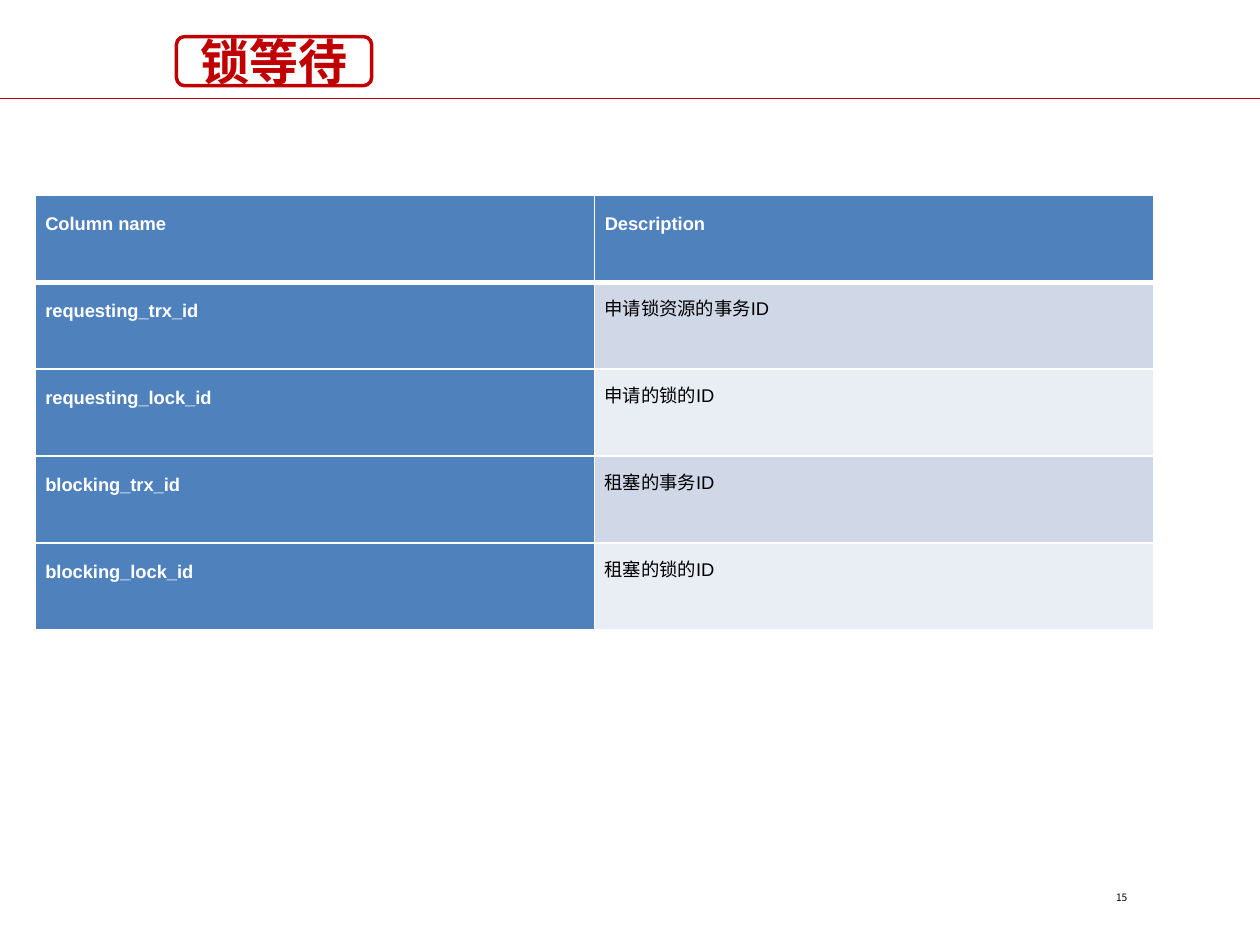
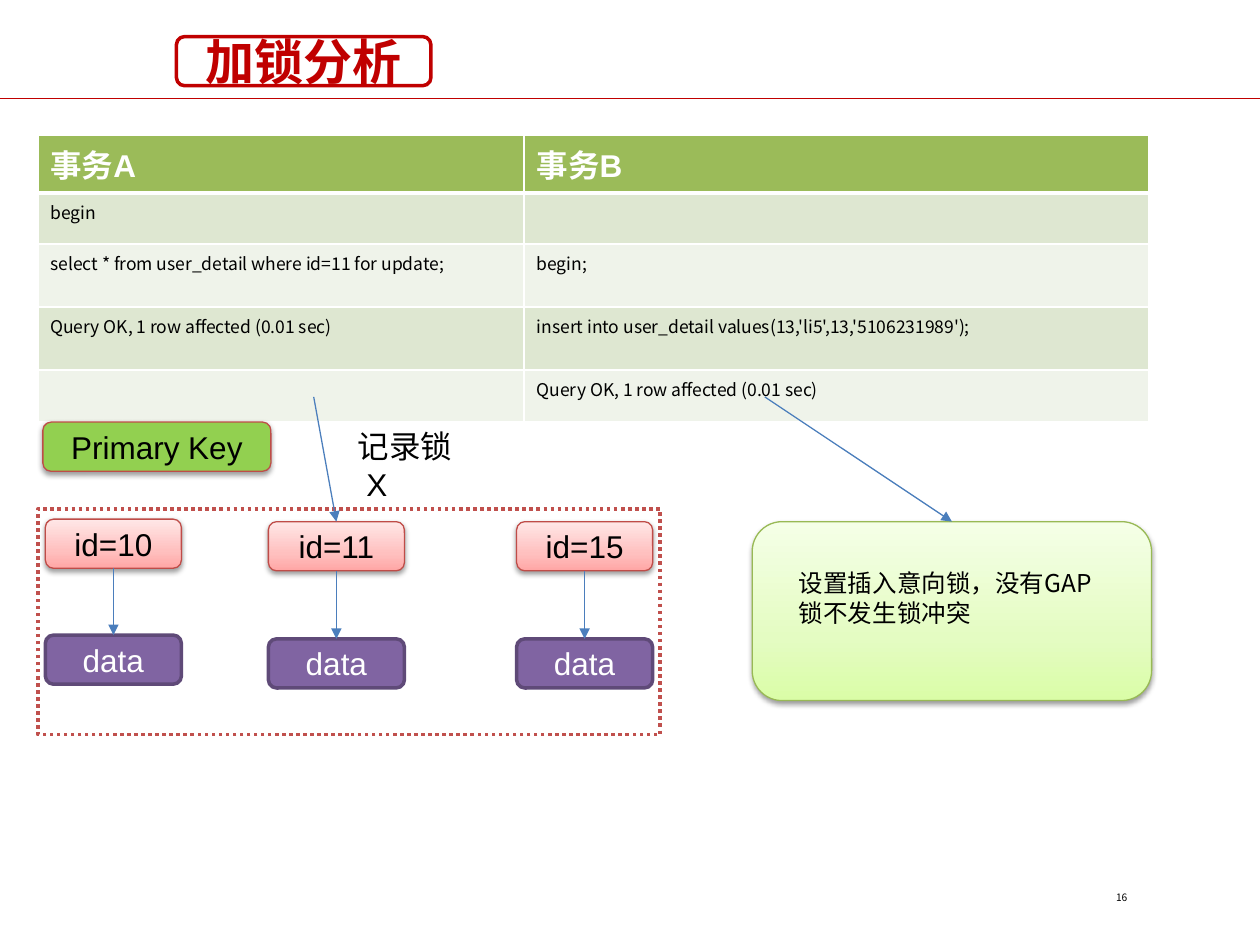
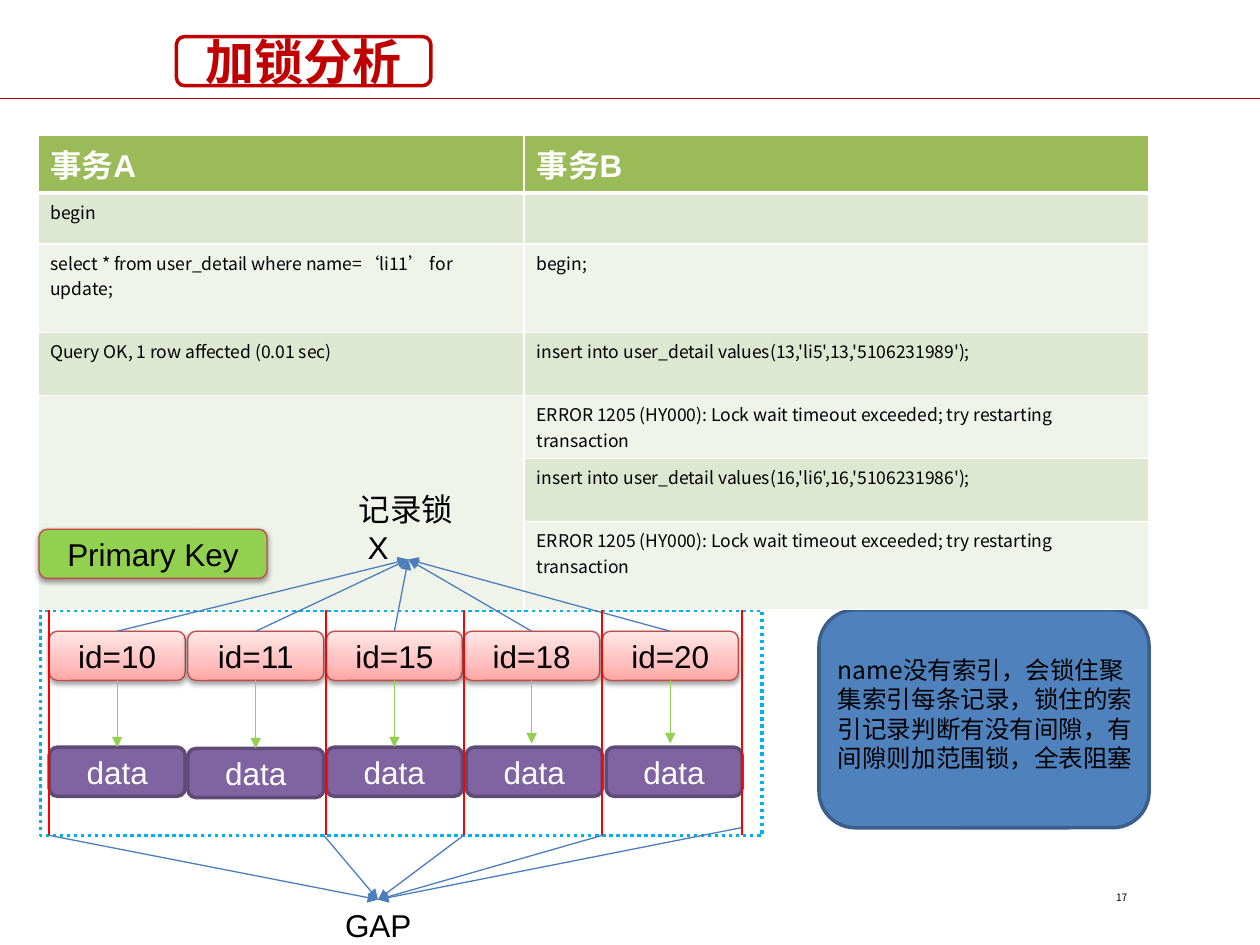
from pptx import Presentation
from pptx.dml.color import RGBColor
from pptx.enum.dml import MSO_LINE
from pptx.enum.shapes import MSO_CONNECTOR, MSO_SHAPE
from pptx.enum.text import MSO_ANCHOR, PP_ALIGN
from pptx.oxml import parse_xml
from pptx.oxml.ns import nsdecls, qn
from pptx.util import Inches, Pt

STRAIGHT = MSO_CONNECTOR.STRAIGHT
ROUND = MSO_SHAPE.ROUNDED_RECTANGLE
RECT = MSO_SHAPE.RECTANGLE
TITLE_BOX = MSO_SHAPE.FLOWCHART_ALTERNATE_PROCESS
DOTTED = MSO_LINE.ROUND_DOT
TOP, MIDDLE = MSO_ANCHOR.TOP, MSO_ANCHOR.MIDDLE
LEFT, CENTER = PP_ALIGN.LEFT, PP_ALIGN.CENTER
NOTO = "Noto Sans CJK SC"
A = nsdecls("a")
rgb = RGBColor.from_string

FORMATS = {
    "title": ({"size": Pt(28), "name": NOTO, "bold": True}, "C00000"),
    "number": ({"size": Pt(5.8), "name": NOTO}, "000000"),
    "label": ({"size": Pt(18), "name": "Arial"}, "000000"),
    "light": ({"size": Pt(18), "name": "Arial"}, "FFFFFF"),
    "note": ({"size": Pt(14), "name": NOTO}, "000000"),
    "head": ({"size": Pt(18), "name": "Arial", "bold": True}, "FFFFFF"),
    "sql": ({"size": Pt(10), "name": NOTO, "bold": False}, "000000"),
    "field": ({"size": Pt(10.5), "name": "Arial", "bold": True}, "FFFFFF"),
    "meaning": ({"size": Pt(10.5), "name": "Arial", "bold": False}, "000000"),
}
PINK = ("FFA6A5", "FFC0BF", "FFE7E7")
LIME = ("DAFDA7", "E4FCC2", "F5FFE7")
BOXES = {
    "title": dict(kind=TITLE_BOX, fill="FFFFFF", line="C00000", width=2),
    "key": dict(kind=ROUND, fill="92D050", line="BF4C48", width=0.75, shadow=True, text="label"),
    "id": dict(kind=ROUND, grad=PINK, line="BF4C48", width=0.75, shadow=True, text="label"),
    "data": dict(kind=ROUND, fill="8064A2", line="5F4A78", width=2, text="light"),
    "lime": dict(kind=ROUND, grad=LIME, line="98B955", width=0.75, shadow=True),
    "blue": dict(kind=ROUND, fill="4F81BD", line="3A5F8C", width=2),
    "red frame": dict(kind=RECT, fill="FFFFFF", line="C0504D", width=2, dash=DOTTED),
    "cyan frame": dict(kind=RECT, fill="FFFFFF", line="00B0F0", width=2, dash=DOTTED),
}
TEXTS = {
    "number": dict(anchor=MIDDLE, inset=(0.1, 0.05), wrap=True),
    "label": dict(anchor=TOP, inset=(0.1, 0.05), wrap=False),
    "note": dict(anchor=MIDDLE, inset=(0, 0), wrap=True),
}
LINES = {
    "rule": ("C00000", 0.75, False),
    "arrow": ("4B7EBC", 0.75, True),
    "green": ("92D050", 0.75, True),
    "gap": ("FF0000", 1.25, False),
}


def write(tf, text, style, align=LEFT):
    values, color = FORMATS[style]
    for i, line in enumerate(text.split("\n")):
        p = tf.add_paragraph() if i else tf.paragraphs[0]
        p.alignment = align
        if i:
            p._p.get_or_add_pPr().set("marL", str(Inches(0.07)))
        r = p.add_run()
        r.text = line
        for name, value in values.items():
            setattr(r.font, name, value)
        r.font.color.rgb = rgb(color)
        r._r.get_or_add_rPr().append(parse_xml(f'<a:ea {A} typeface="{NOTO}"/>'))


def add_box(s, style, at, text=""):
    look = BOXES[style]
    sp = s.shapes.add_shape(look["kind"], *map(Inches, at))
    sp.shadow.inherit = False
    if "grad" in look:
        sp.fill.gradient()
        stops = "".join(f'<a:gs pos="{pos}"><a:srgbClr val="{c}"/></a:gs>'
                        for pos, c in zip((0, 35000, 100000), look["grad"]))
        spPr = sp._element.spPr
        spPr.replace(spPr.find(qn("a:gradFill")), parse_xml(
            f'<a:gradFill {A} rotWithShape="1"><a:gsLst>{stops}</a:gsLst>'
            '<a:lin ang="16200000" scaled="0"/></a:gradFill>'))
    else:
        sp.fill.solid()
        sp.fill.fore_color.rgb = rgb(look["fill"])
    sp.line.color.rgb = rgb(look["line"])
    sp.line.width = Pt(look["width"])
    if "dash" in look:
        sp.line.dash_style = look["dash"]
    if "shadow" in look:
        sp._element.spPr.find(qn("a:effectLst")).append(parse_xml(
            f'<a:outerShdw {A} blurRad="{Pt(3.1)}" dist="{Pt(1.6)}" dir="5400000" rotWithShape="0">'
            '<a:srgbClr val="000000"><a:alpha val="38000"/></a:srgbClr></a:outerShdw>'))
    if text:
        sp.text_frame.vertical_anchor = MIDDLE
        write(sp.text_frame, text, look.get("text", style), CENTER)
    return sp


INSERT_13 = "insert into user_detail values(13,'li5',13,'5106231989');"
INSERT_16 = "insert into user_detail values(16,'li6',16,'5106231986');"
OK = "Query OK, 1 row affected (0.01 sec)"
TIMEOUT = "ERROR 1205 (HY000): Lock wait timeout exceeded; try restarting transaction"
SQL_TABLE = dict(at=(0.3, 1.07), cols=(3.86, 4.96), head="9BBB59", bands=("DEE7D1", "EFF3EA"),
                 styles=("head", "sql"), inset=(0.1, 0.05))

wait_slide = dict(
    title="锁等待", title_width=1.55,
    table=dict(at=(0.28, 1.55), cols=(4.44, 4.44), rows=[0.69] * 5, head="4F81BD",
               bands=("D0D8E8", "E9EDF4"), styles=("field", "meaning"), inset=(0.08, 0.08),
               spacing=Pt(16.5), side_head=True,
               cells=[("Column name", "Description"),
                      ("requesting_trx_id", "申请锁资源的事务ID"),
                      ("requesting_lock_id", "申请的锁的ID"),
                      ("blocking_trx_id", "租塞的事务ID"),
                      ("blocking_lock_id", "租塞的锁的ID")]))

record_ids = (10, 11, 15)
record_slide = dict(
    title="加锁分析", title_width=2.02,
    back=[("red frame", (0.3, 4.04, 4.94, 1.79))],
    table=dict(SQL_TABLE, rows=(0.46, 0.4, 0.5, 0.5, 0.4),
               cells=[("事务A", "事务B"), ("begin", ""),
                      ("select * from user_detail where id=11 for update;", "begin;"),
                      (OK, INSERT_13), ("", OK)]),
    records=list(zip(record_ids, (0.36, 2.13, 4.1), (0.36, 2.13, 4.1),
                     (4.12, 4.14, 4.14), (5.04, 5.07, 5.07))),
    boxes=[("lime", (5.97, 4.14, 3.17, 1.42)), ("key", (0.34, 3.35, 1.81, 0.39), "Primary Key")],
    lines=[("arrow", (f"id={n}", 2), (f"data{n}", 0)) for n in record_ids]
    + [("arrow", (2.49, 3.15), ("id=11", 0)), ("arrow", (6.07, 3.15), ("lime", 0))],
    texts=[("label", (2.74, 3.34, 0.96, 0.71), "记录锁\nX"),
           ("note", (6.34, 4.43, 2.52, 0.63), "设置插入意向锁，没有GAP锁不发生锁冲突")])

gap_ids = (10, 11, 15, 18, 20)
gap_slide = dict(
    title="加锁分析", title_width=2.02,
    back=[("blue", (6.5, 4.84, 2.62, 1.73)), ("cyan frame", (0.32, 4.84, 5.73, 1.79))],
    table=dict(SQL_TABLE, rows=(0.46, 0.4, 0.7, 0.5, 0.5, 0.5, 0.7), merge=((4, 0), (6, 0)),
               cells=[("事务A", "事务B"), ("begin", ""),
                      ("select * from user_detail where name=‘li11’ for update;", "begin;"),
                      (OK, INSERT_13), ("", TIMEOUT), ("", INSERT_16), ("", TIMEOUT)]),
    records=list(zip(gap_ids, (0.39, 1.49, 2.59, 3.68, 4.78), (0.39, 1.49, 2.59, 3.7, 4.81),
                     [5.01] * 5, (5.93, 5.94, 5.93, 5.93, 5.93))),
    boxes=[("key", (0.31, 4.2, 1.81, 0.39), "Primary Key")],
    lines=[("green", (f"id={n}", 2), (f"data{n}", 0)) for n in gap_ids[:3]]
    + [("green", ("id=18", 2), (4.22, 5.9)), ("green", ("id=20", 2), (5.32, 5.9))]
    + [("arrow", (f"id={n}", 0), (3.24, 4.44)) for n in gap_ids]
    + [("gap", (x, 4.84), (x, 6.63)) for x in (0.39, 2.59, 3.68, 4.78, 5.89)]
    + [("arrow", start, (3, 7.14)) for start in
       ((0.39, 6.63), (2.57, 6.63), (3.68, 6.63), (4.78, 6.63), (5.88, 6.57))],
    texts=[("label", (2.75, 3.84, 1.37, 0.71), "记录锁\nX"),
           ("note", (6.65, 5.01, 2.36, 1.31),
            "name没有索引，会锁住聚集索引每条记录，锁住的索引记录判断有没有间隙，有间隙则加范围锁，全表阻塞"),
           ("label", (2.64, 7.14, 0.73, 0.4), "GAP")])

prs = Presentation()
prs.slide_width, prs.slide_height = Inches(10), Inches(7.5)

for number, content in enumerate((wait_slide, record_slide, gap_slide), 15):
    s = prs.slides.add_slide(prs.slide_layouts[6])
    shapes = {}
    for style, at in content.get("back", []):
        add_box(s, style, at)
    add_box(s, "title", (1.4, 0.29, content["title_width"], 0.39), content["title"])

    spec_table = content["table"]
    cols, rows, cells = spec_table["cols"], spec_table["rows"], spec_table["cells"]
    size = (sum(cols), sum(rows))
    table = s.shapes.add_table(len(rows), len(cols), *map(Inches, spec_table["at"] + size)).table
    table.horz_banding = False
    for column, width in zip(table.columns, cols):
        column.width = Inches(width)
    for row, height in zip(table.rows, rows):
        row.height = Inches(height)
    for i, texts in enumerate(cells):
        for j, text in enumerate(texts):
            cell = table.cell(i, j)
            is_head = i == 0 or (j == 0 and "side_head" in spec_table)
            tcPr = cell._tc.get_or_add_tcPr()
            for side in "LRTB":
                heavy = (i == 0 and side == "B") or (i == 1 and side == "T")
                tcPr.append(parse_xml(
                    f'<a:ln{side} {A} w="{Pt(3 if heavy else 1)}"><a:solidFill>'
                    f'<a:srgbClr val="FFFFFF"/></a:solidFill></a:ln{side}>'))
            cell.fill.solid()
            cell.fill.fore_color.rgb = rgb(
                spec_table["head"] if is_head else spec_table["bands"][(i - 1) % 2])
            cell.margin_left = cell.margin_right = Inches(spec_table["inset"][0])
            cell.margin_top = cell.margin_bottom = Inches(spec_table["inset"][1])
            if text:
                write(cell.text_frame, text, spec_table["styles"][0 if is_head else 1])
                cell.text_frame.paragraphs[0].line_spacing = spec_table.get("spacing")
    if "merge" in spec_table:
        first, last = spec_table["merge"]
        table.cell(*first).merge(table.cell(*last))

    for n, id_x, data_x, id_y, data_y in content.get("records", []):
        shapes[f"id={n}"] = add_box(s, "id", (id_x, id_y, 1.08, 0.39), f"id={n}")
        shapes[f"data{n}"] = add_box(s, "data", (data_x, data_y, 1.08, 0.39), "data")
    for style, *box in content.get("boxes", []):
        shapes[style] = add_box(s, style, *box)

    for style, start, end in [("rule", (0, 0.78), (10, 0.78))] + content.get("lines", []):
        color, width, has_arrow = LINES[style]
        points = [(0, 0) if p[0] in shapes else p for p in (start, end)]
        line = s.shapes.add_connector(STRAIGHT, *map(Inches, points[0] + points[1]))
        for join, (target, site) in ((line.begin_connect, start), (line.end_connect, end)):
            if target in shapes:
                join(shapes[target], site)
        line.line.color.rgb = rgb(color)
        line.line.width = Pt(width)
        if has_arrow:
            line.line._get_or_add_ln().append(parse_xml(f'<a:tailEnd {A} type="triangle"/>'))
        line._element.spPr.append(parse_xml(f"<a:effectLst {A}/>"))

    page_number = ("number", (8.76, 7.03, 0.71, 0.18), str(number))
    for style, at, text in content.get("texts", []) + [page_number]:
        look = TEXTS[style]
        tf = s.shapes.add_textbox(*map(Inches, at)).text_frame
        tf.word_wrap = look["wrap"]
        tf.vertical_anchor = look["anchor"]
        tf.margin_left = tf.margin_right = Inches(look["inset"][0])
        tf.margin_top = tf.margin_bottom = Inches(look["inset"][1])
        write(tf, text, style)

prs.save("out.pptx")
